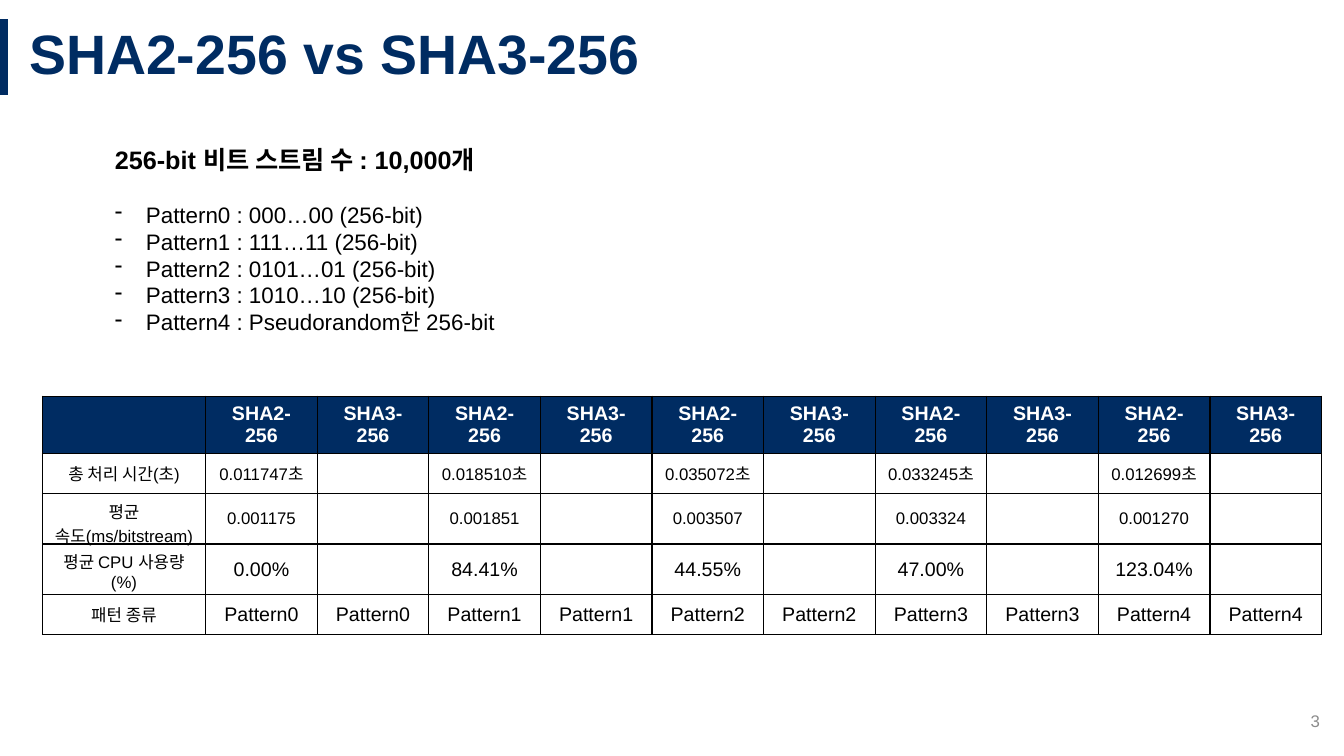
from pptx import Presentation
from pptx.dml.color import RGBColor
from pptx.enum.shapes import MSO_CONNECTOR
from pptx.enum.text import MSO_ANCHOR, PP_ALIGN
from pptx.oxml.ns import qn
from pptx.util import Inches, Pt
from lxml.etree import SubElement

NAVY, BLACK, WHITE, GRAY = "002C62", "000000", "FFFFFF", "8C8C8C"

TITLE = "SHA2-256 vs SHA3-256"
PAGE_NUMBER = "3"
STREAM_COUNT = "256-bit 비트 스트림 수 : 10,000개"
PATTERNS = [
    "Pattern0 : 000…00 (256-bit)",
    "Pattern1 : 111…11 (256-bit)",
    "Pattern2 : 0101…01 (256-bit)",
    "Pattern3 : 1010…10 (256-bit)",
    "Pattern4 : Pseudorandom한 256-bit",
]
ALGORITHMS = ["SHA2-256", "SHA3-256"]
# Row label, value size, SHA2-256 value for each pattern
MEASUREMENTS = [
    ("총 처리 시간(초)", 12,
     ["0.011747초", "0.018510초", "0.035072초", "0.033245초", "0.012699초"]),
    ("평균 속도(ms/bitstream)", 12,
     ["0.001175", "0.001851", "0.003507", "0.003324", "0.001270"]),
    ("평균 CPU 사용량(%)", 14,
     ["0.00%", "84.41%", "44.55%", "47.00%", "123.04%"]),
]
PATTERN_LABEL = "패턴 종류"

TABLE_LEFT, TABLE_TOP, TABLE_WIDTH = 0.42, 3.93, 12.69
LABEL_WIDTH, ROW_HEIGHT = 1.62, 0.4


def color(value):
    return RGBColor.from_string(value)


def style(paragraph, size, text_color=BLACK, bold=False, align=PP_ALIGN.LEFT):
    paragraph.alignment = align
    font = paragraph.font
    font.name, font.size, font.bold = "Arial", Pt(size), bold
    font.color.rgb = color(text_color)


def add_text_frame(slide, left, top, width, height, anchor=MSO_ANCHOR.MIDDLE):
    box = slide.shapes.add_textbox(Inches(left), Inches(top), Inches(width), Inches(height))
    frame = box.text_frame
    frame.word_wrap = True
    frame.vertical_anchor = anchor
    return frame


def add_title(slide):
    bar = slide.shapes.add_connector(
        MSO_CONNECTOR.STRAIGHT, Inches(0.04), Inches(0.19), Inches(0.04), Inches(0.94))
    bar.line.color.rgb = color(NAVY)
    bar.line.width = Pt(6)
    SubElement(bar._element.spPr, qn("a:effectLst"))
    paragraph = add_text_frame(slide, 0.19, 0.19, 13.15, 0.75).paragraphs[0]
    paragraph.text = TITLE
    paragraph.line_spacing = 0.9
    style(paragraph, 39.6, NAVY, True)


def add_pattern_list(slide):
    frame = add_text_frame(slide, 1.04, 1.38, 5.2, 2.02, MSO_ANCHOR.TOP)
    heading = frame.paragraphs[0]
    heading.text = STREAM_COUNT
    style(heading, 18, bold=True)
    for index, pattern in enumerate(PATTERNS):
        paragraph = frame.add_paragraph()
        paragraph.text = pattern
        if index == 0:
            paragraph.space_before = Pt(19)
        properties = paragraph._p.get_or_add_pPr()
        properties.set("marL", str(Inches(0.31)))
        properties.set("indent", str(-Inches(0.31)))
        SubElement(properties, qn("a:buChar"), char="-")
        style(paragraph, 16)


def add_borders(cell):
    properties = cell._tc.get_or_add_tcPr()
    for side in ("lnL", "lnR", "lnT", "lnB"):
        line = SubElement(properties, qn(f"a:{side}"), w=str(Pt(1)))
        fill = SubElement(line, qn("a:solidFill"))
        SubElement(fill, qn("a:srgbClr"), val=BLACK)


def table_rows():
    """Return one list per row of (text, size) pairs."""
    rows = [[("", 14)] + [(name, 14) for _ in PATTERNS for name in ALGORITHMS]]
    for label, size, values in MEASUREMENTS:
        rows.append([(label, 12)] + [(text, size) for value in values for text in (value, "")])
    names = [pattern.split(" : ")[0] for pattern in PATTERNS]
    rows.append([(PATTERN_LABEL, 12)] + [(name, 14) for name in names for _ in ALGORITHMS])
    return rows


def add_results_table(slide):
    rows = table_rows()
    column_count = len(rows[0])
    table = slide.shapes.add_table(
        len(rows), column_count, Inches(TABLE_LEFT), Inches(TABLE_TOP),
        Inches(TABLE_WIDTH), Inches(ROW_HEIGHT * len(rows))).table
    table.first_row = table.horz_banding = False
    value_width = (TABLE_WIDTH - LABEL_WIDTH) / (column_count - 1)
    for index, column in enumerate(table.columns):
        column.width = Inches(value_width if index else LABEL_WIDTH)
    for row_index, row in enumerate(rows):
        is_header = row_index == 0
        for column_index, (text, size) in enumerate(row):
            cell = table.cell(row_index, column_index)
            cell.text = text
            cell.vertical_anchor = MSO_ANCHOR.MIDDLE
            add_borders(cell)
            if is_header:
                cell.fill.solid()
                cell.fill.fore_color.rgb = color(NAVY)
            else:
                cell.fill.background()
            style(cell.text_frame.paragraphs[0], size,
                  WHITE if is_header else BLACK, is_header, PP_ALIGN.CENTER)


def add_page_number(slide):
    paragraph = add_text_frame(slide, 10.19, 6.95, 3, 0.4).paragraphs[0]
    paragraph.text = PAGE_NUMBER
    style(paragraph, 12, GRAY, align=PP_ALIGN.RIGHT)


def main():
    presentation = Presentation()
    presentation.slide_width, presentation.slide_height = Inches(13.33), Inches(7.5)
    slide = presentation.slides.add_slide(presentation.slide_layouts[6])
    add_title(slide)
    add_page_number(slide)
    add_results_table(slide)
    add_pattern_list(slide)
    presentation.save("out.pptx")


if __name__ == "__main__":
    main()
